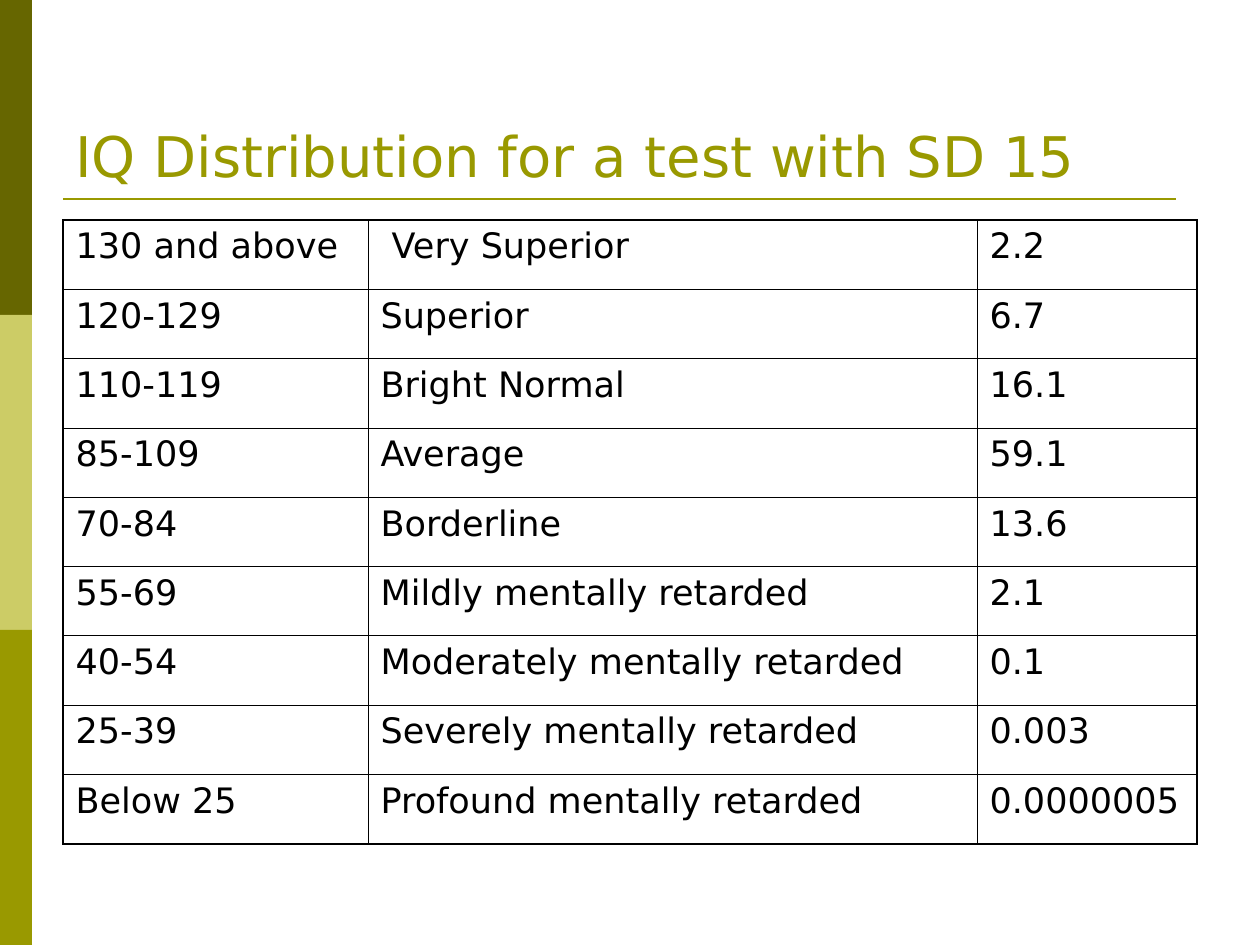
from lxml.etree import SubElement
from pptx import Presentation
from pptx.dml.color import RGBColor
from pptx.enum.shapes import MSO_CONNECTOR, MSO_SHAPE
from pptx.enum.text import MSO_ANCHOR
from pptx.oxml.ns import qn
from pptx.util import Emu, Pt

FONT = "DejaVu Sans"
COLORS = {"dark": "666600", "light": "CCCC66", "olive": "999900", "black": "000000"}
INNER, OUTER = Pt(0.45), Pt(1.08)
COLUMN_WIDTHS = [305, 609, 220]
IQ_ROWS = [
    ("130 and above", " Very Superior", "2.2"),
    ("120-129", "Superior", "6.7"),
    ("110-119", "Bright Normal", "16.1"),
    ("85-109", "Average", "59.1"),
    ("70-84", "Borderline", "13.6"),
    ("55-69", "Mildly mentally retarded", "2.1"),
    ("40-54", "Moderately mentally retarded", "0.1"),
    ("25-39", "Severely mentally retarded", "0.003"),
    ("Below 25", "Profound mentally retarded", "0.0000005"),
]


def px(n):
    """Turn pixels, 126 to the inch, into EMU."""
    return Emu(round(n * 914400 / 126))


def rgb(name):
    return RGBColor.from_string(COLORS[name])


def add_run(p, text, size, color):
    r = p.add_run()
    r.text = text
    r.font.name = FONT
    r.font.size = Pt(size)
    r.font.color.rgb = rgb(color)


def add_side_bar(s, top, height, color):
    sp = s.shapes.add_shape(MSO_SHAPE.RECTANGLE, 0, px(top), px(32), px(height))
    sp.shadow.inherit = False
    sp.fill.solid()
    sp.fill.fore_color.rgb = rgb(color)
    sp.line.fill.background()


def add_rule(s, left, right, y):
    line = s.shapes.add_connector(MSO_CONNECTOR.STRAIGHT, px(left), px(y), px(right), px(y))
    line.line.color.rgb = rgb("olive")
    line.line.width = Pt(1.5)
    SubElement(line._element.spPr, qn("a:effectLst"))


def add_title(s, text):
    tf = s.shapes.add_textbox(px(63), px(38), px(1134), px(157)).text_frame
    tf.word_wrap = True
    tf.vertical_anchor = MSO_ANCHOR.BOTTOM
    add_run(tf.paragraphs[0], text, 32, "olive")


def set_border(cell, side, width):
    ln = SubElement(cell._tc.get_or_add_tcPr(), qn(f"a:ln{side}"), w=str(width))
    fill = SubElement(ln, qn("a:solidFill"))
    SubElement(fill, qn("a:srgbClr"), val=COLORS["black"])


def add_iq_table(s, left, top, height):
    """Add the table with thin inner borders and a thicker frame."""
    n_rows, n_cols = len(IQ_ROWS), len(COLUMN_WIDTHS)
    frame = s.shapes.add_table(n_rows, n_cols, px(left), px(top),
                               px(sum(COLUMN_WIDTHS)), px(height))
    table = frame.table
    table.first_row = table.horz_banding = False
    for column, width in zip(table.columns, COLUMN_WIDTHS):
        column.width = px(width)
    for i, values in enumerate(IQ_ROWS):
        table.rows[i].height = px(height / n_rows)
        for j, text in enumerate(values):
            cell = table.cell(i, j)
            on_frame = {"L": j == 0, "R": j == n_cols - 1,
                        "T": i == 0, "B": i == n_rows - 1}
            for side, outer in on_frame.items():
                set_border(cell, side, OUTER if outer else INNER)
            cell.fill.background()
            p = cell.text_frame.paragraphs[0]
            p.space_before = Pt(5)
            add_run(p, text, 20, "black")


def main():
    prs = Presentation()
    prs.slide_width, prs.slide_height = px(1260), px(945)
    s = prs.slides.add_slide(prs.slide_layouts[6])
    for i, color in enumerate(["dark", "light", "olive"]):
        add_side_bar(s, 315 * i, 315, color)
    add_rule(s, 63, 1176, 199)
    add_title(s, "IQ Distribution for a test with SD 15")
    add_iq_table(s, 63, 220, 624)
    prs.save("out.pptx")


if __name__ == "__main__":
    main()
